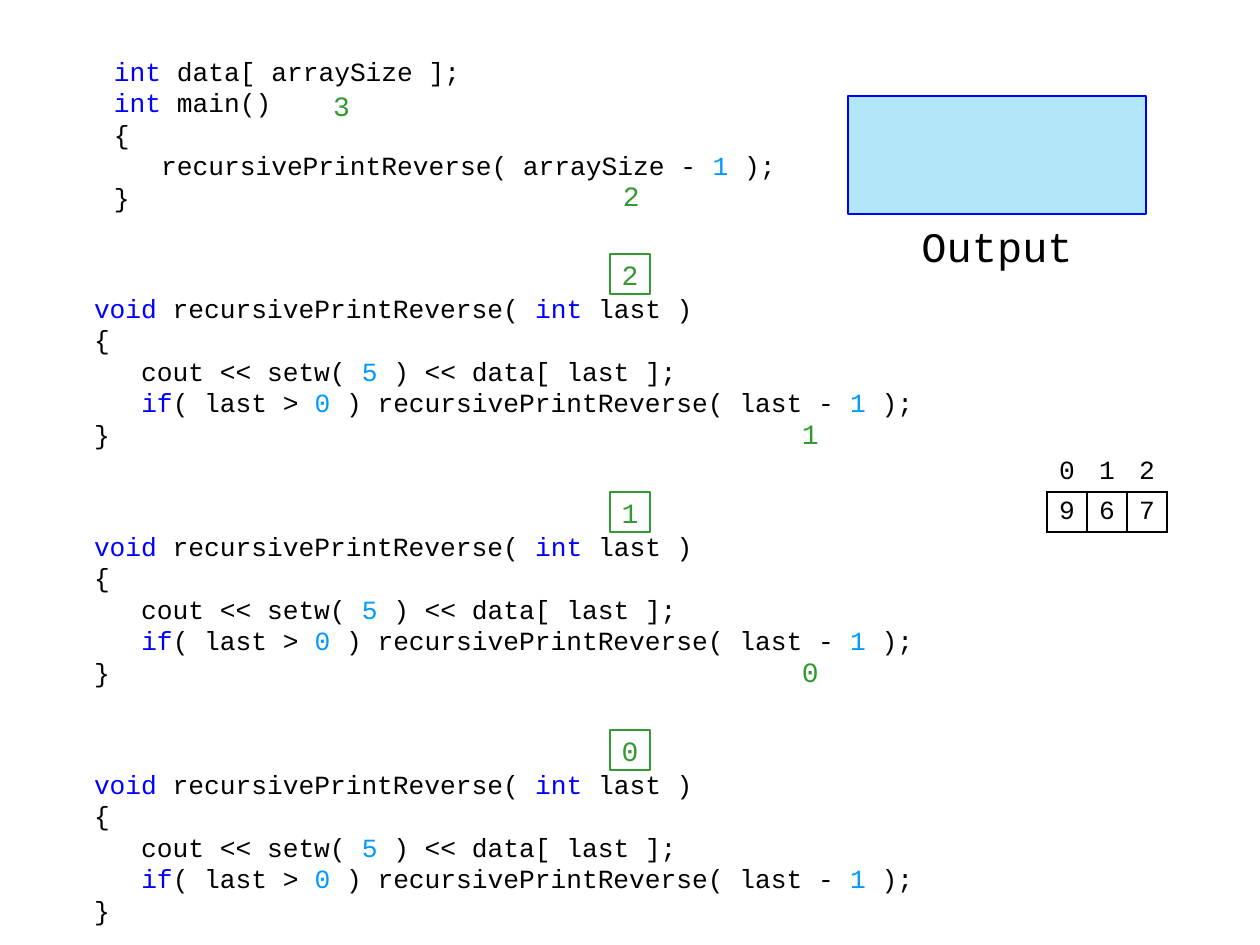
from lxml import etree
from pptx import Presentation
from pptx.dml.color import RGBColor
from pptx.enum.shapes import MSO_SHAPE
from pptx.enum.text import MSO_ANCHOR, PP_ALIGN
from pptx.oxml.ns import qn
from pptx.util import Emu, Pt

RECT = MSO_SHAPE.RECTANGLE
MIDDLE = MSO_ANCHOR.MIDDLE
CENTER = PP_ALIGN.CENTER

PX = 914400 // 126
FONT = "Courier New"
BLACK, BLUE, AZURE, GREEN, CYAN = "000000", "0000FF", "0099FF", "339933", "00B0F0"
CELL = 40
CALL_PITCH = 238

# "|" separates the differently coloured parts of a line
KEYWORDS = {"int", "void", "if"}
MAIN_CODE = [
    "int| data[ arraySize ];",
    "int| main()",
    "{",
    "   recursivePrintReverse( arraySize - |1| );",
    "}",
]
FUNCTION_CODE = [
    "void| recursivePrintReverse( |int| last )",
    "{",
    "   cout << setw( |5| ) << data[ last ];",
    "   |if|( last > |0| ) recursivePrintReverse( last - |1| );",
    "}",
]


def px(*lengths):
    return [Emu(length * PX) for length in lengths]


def colour(hex_value):
    return RGBColor.from_string(hex_value)


def style_font(font, size, hex_value):
    font.name = FONT
    font.size = Pt(size)
    font.bold = False
    font.color.rgb = colour(hex_value)


def set_insets(target, *insets):
    (target.margin_left, target.margin_top,
     target.margin_right, target.margin_bottom) = px(*insets)


def write_centred(frame, text, size, hex_value):
    frame.text = text
    paragraph = frame.paragraphs[0]
    paragraph.alignment = CENTER
    # Space before: half a line
    before = etree.SubElement(paragraph._p.get_or_add_pPr(), qn("a:spcBef"))
    etree.SubElement(before, qn("a:spcPct"), val="50000")
    style_font(paragraph.runs[0].font, size, hex_value)


def add_outlined(slide, box):
    shape = slide.shapes.add_shape(RECT, *px(*box))
    shape.shadow.inherit = False
    shape.fill.background()
    shape.line.width = Pt(1.5)
    return shape


def add_code(slide, box, lines):
    frame = slide.shapes.add_textbox(*px(*box)).text_frame
    frame.word_wrap = True
    set_insets(frame, 20, 18, 5, 13)
    for index, line in enumerate(lines):
        paragraph = frame.add_paragraph() if index else frame.paragraphs[0]
        paragraph.line_spacing = Pt(18)
        for part in filter(None, line.split("|")):
            run = paragraph.add_run()
            run.text = part
            shade = BLUE if part in KEYWORDS else AZURE if part.isdigit() else BLACK
            style_font(run.font, 15, shade)


def add_value(slide, box, value, boxed=False):
    if boxed:
        shape = add_outlined(slide, box)
        shape.line.color.rgb = colour(GREEN)
    else:
        shape = slide.shapes.add_textbox(*px(*box))
    frame = shape.text_frame
    frame.word_wrap = False
    frame.vertical_anchor = MIDDLE
    set_insets(frame, 13, 0, 13, 0)
    write_centred(frame, value, 16, GREEN)


def add_main(slide, left, top):
    add_code(slide, (left, top, 694, 179), MAIN_CODE)
    add_value(slide, (left + 218, top + 39, 59, 59), "3")
    add_value(slide, (left + 516, top + 138, CELL, CELL), "2")


def add_call(slide, left, top, last):
    add_code(slide, (left, top, 853, 179), FUNCTION_CODE)
    add_value(slide, (left + 536, top - 20, CELL, CELL), str(last), boxed=True)
    if last > 0:
        add_value(slide, (left + 715, top + 139, CELL, CELL), str(last - 1))


def add_output(slide, left, top, width, height):
    screen = add_outlined(slide, (left, top, width, height))
    screen.line.color.rgb = colour(BLUE)
    screen.fill.solid()
    screen.fill.fore_color.rgb = colour(CYAN)
    shade = screen.fill._xPr.find(".//" + qn("a:srgbClr"))
    etree.SubElement(shade, qn("a:alpha"), val="30000")

    label = slide.shapes.add_textbox(*px(left + 40, top + height, width - 80, 59))
    label.text_frame.word_wrap = True
    write_centred(label.text_frame, "Output", 24, BLACK)


def add_border(cell, sides):
    properties = cell._tc.get_or_add_tcPr()
    for index, side in enumerate(sides):
        line = etree.Element(qn("a:ln" + side), w=str(Pt(1.5)))
        fill = etree.SubElement(line, qn("a:solidFill"))
        etree.SubElement(fill, qn("a:srgbClr"), val=BLACK)
        properties.insert(index, line)


def add_array(slide, left, top, values):
    box = px(left, top, CELL * len(values), CELL * 2)
    table = slide.shapes.add_table(2, len(values), *box).table
    table.first_row = table.horz_banding = False
    for row, texts in enumerate([range(len(values)), values]):
        for column, text in enumerate(texts):
            cell = table.cell(row, column)
            cell.fill.background()
            cell.vertical_anchor = MIDDLE
            set_insets(cell, 12, 2, 12, 0)
            write_centred(cell.text_frame, str(text), 15, BLACK)
            add_border(cell, "LRTB" if row else "B")


def main():
    presentation = Presentation()
    presentation.slide_width, presentation.slide_height = px(1260, 945)
    slide = presentation.slides.add_slide(presentation.slide_layouts[6])

    # Program and its chain of recursive calls
    add_main(slide, 94, 37)
    for depth, last in enumerate([2, 1, 0]):
        add_call(slide, 74, 274 + depth * CALL_PITCH, last)

    # Output screen and array contents
    add_output(slide, 848, 96, 298, 118)
    add_array(slide, 1047, 452, [9, 6, 7])

    presentation.save("out.pptx")


if __name__ == "__main__":
    main()
